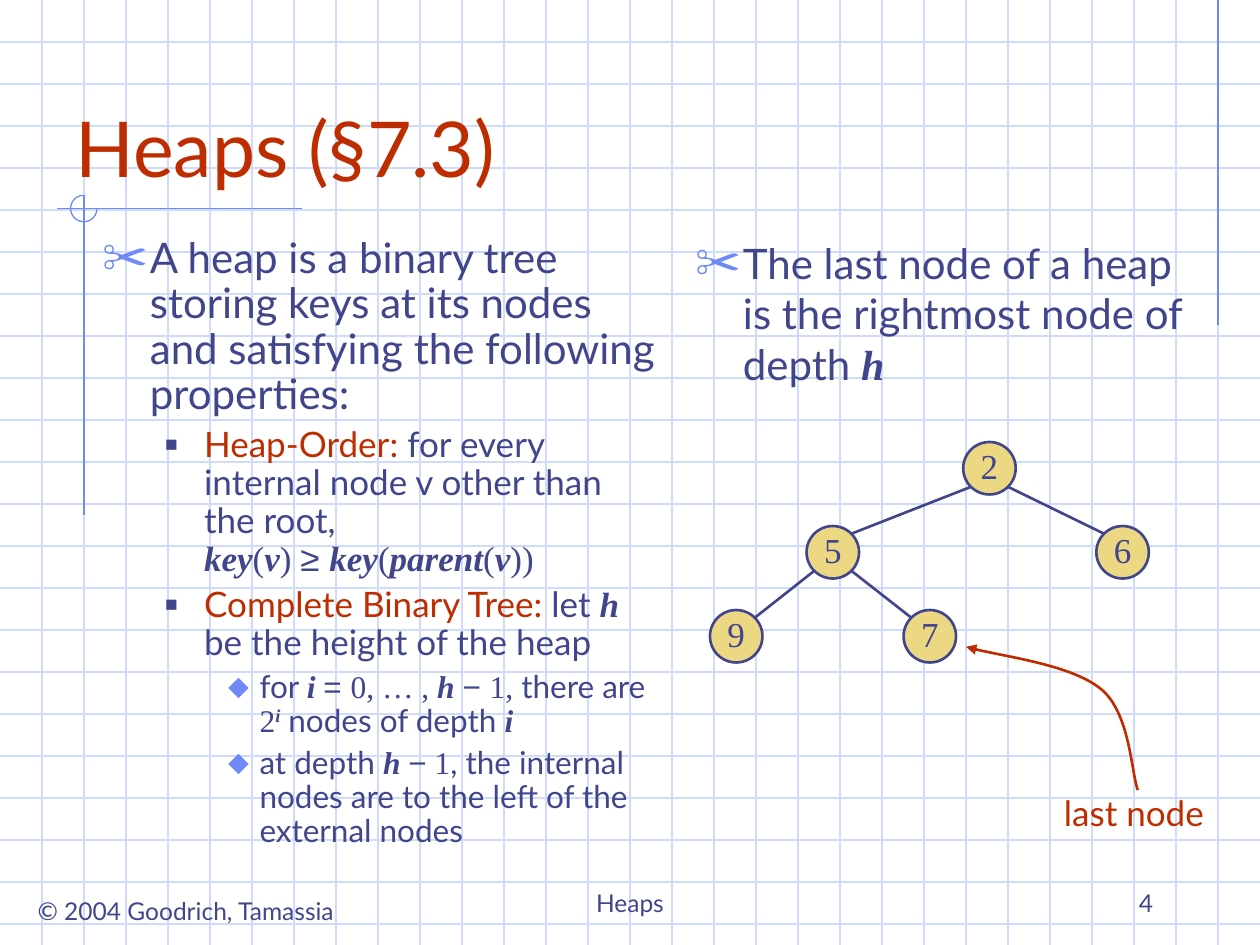
from copy import deepcopy
from dataclasses import dataclass
from math import sqrt

from lxml.etree import SubElement
from pptx import Presentation
from pptx.dml.color import RGBColor
from pptx.enum.shapes import MSO_CONNECTOR, MSO_SHAPE
from pptx.enum.text import MSO_ANCHOR, MSO_AUTO_SIZE, PP_ALIGN
from pptx.oxml.ns import qn
from pptx.util import Inches, Pt

# The background's squares are the unit of length: three to the inch
COLUMNS, ROWS = 30, 22.5
GRID, BLUE, INK, RED, GOLD = "CFDBFD", "6F89F7", "40458C", "BE2D00", "ECD882"
NODE_SIZE = 1.25

# Run formats
PLAIN = {}
TERM = {"color": RED}
VARIABLE = {"font": "Times New Roman", "bold": True, "italic": True}
SERIF = {"font": "Times New Roman"}
SYMBOL = {"font": "Arial"}


@dataclass
class Box:
    column: float
    row: float
    columns: float
    rows: float

    def lengths(self) -> list:
        return [cells(n) for n in (self.column, self.row, self.columns, self.rows)]


@dataclass
class Level:
    size: int
    margin: float
    hanging: float
    before: float
    bullet: str
    bullet_color: str
    bullet_percent: int


@dataclass
class Node:
    key: str
    column: float
    depth: int
    parent: str = ""

    @property
    def center(self) -> tuple:
        return self.column, 11.15 + 2 * self.depth


LEVELS = [
    Level(24, 0.38, 0.38, 6, "✂", BLUE, 110),
    Level(20, 0.81, 0.31, 5, "■", INK, 60),
    Level(18, 1.25, 0.25, 4.5, "⬥", BLUE, 95),
]

PROPERTIES = [
    (0, [("A heap is a binary tree storing keys at its nodes and satisfying "
          "the following properties:", PLAIN)]),
    (1, [("Heap-Order:", TERM), (" for every internal node v other than the root,\n", PLAIN),
         ("key", VARIABLE), ("(", SERIF), ("v", VARIABLE), (") ", SERIF), ("≥ ", SYMBOL),
         ("key", VARIABLE), ("(", SERIF), ("parent", VARIABLE), ("(", SERIF),
         ("v", VARIABLE), ("))", SERIF)]),
    (1, [("Complete Binary Tree:", TERM), (" let ", PLAIN), ("h", VARIABLE),
         (" be the height of the heap", PLAIN)]),
    (2, [("for ", PLAIN), ("i ", VARIABLE), ("= ", SYMBOL), ("0, … , ", SERIF),
         ("h ", VARIABLE), ("− ", SYMBOL), ("1,", SERIF), (" there are ", PLAIN),
         ("2", SERIF), ("i", VARIABLE | {"superscript": True}),
         (" nodes of depth ", PLAIN), ("i", VARIABLE)]),
    (2, [("at depth ", PLAIN), ("h ", VARIABLE), ("−", SYMBOL), (" 1", SERIF),
         (", the internal nodes are to the left of the external nodes", PLAIN)]),
]
LAST_NODE = [(0, [("The last node of a heap is the rightmost node of depth ", PLAIN),
                  ("h", VARIABLE)])]

TREE = [Node("2", 23.56, 0), Node("6", 26.73, 1, "2"), Node("5", 19.83, 1, "2"),
        Node("7", 22.14, 2, "5"), Node("9", 17.53, 2, "5")]


def cells(count: float) -> int:
    return Inches(count / 3)


def color_of(value: str) -> RGBColor:
    return RGBColor.from_string(value)


def add_run(paragraph, text: str, *, size: float, font="Lato", color=INK,
            bold=False, italic=False, superscript=False) -> None:
    run = paragraph.add_run()
    run.text = text.rstrip("\n")
    run.font.size, run.font.name = Pt(size), font
    run.font.bold, run.font.italic = bold, italic
    run.font.color.rgb = color_of(color)
    properties = run.font._element
    if superscript:
        properties.set("baseline", "30000")
    if text.endswith("\n"):
        paragraph.add_line_break()
        paragraph._p[-1].append(deepcopy(properties))


def set_line(shape, color: str, width: float) -> None:
    shape.line.color.rgb = color_of(color)
    shape.line.width = Pt(width)


def add_line(shapes, start: tuple, end: tuple, color: str, width: float) -> None:
    line = shapes.add_connector(MSO_CONNECTOR.STRAIGHT, *map(cells, start + end))
    set_line(line, color, width)
    SubElement(line._element.spPr, qn("a:effectLst"))


def add_label(slide, box: Box, text: str, *, align=PP_ALIGN.CENTER,
              anchor=MSO_ANCHOR.TOP, wrap=False, **style) -> None:
    frame = slide.shapes.add_textbox(*box.lengths()).text_frame
    frame.word_wrap, frame.vertical_anchor = wrap, anchor
    frame.auto_size = MSO_AUTO_SIZE.NONE if wrap else MSO_AUTO_SIZE.SHAPE_TO_FIT_TEXT
    frame.paragraphs[0].alignment = align
    add_run(frame.paragraphs[0], text, **style)


def place(slide, placeholder, box: Box, anchor):
    """Move a placeholder to its box and in front of what is drawn so far."""
    placeholder.left, placeholder.top, placeholder.width, placeholder.height = box.lengths()
    slide.shapes._spTree.append(placeholder._element)
    frame = placeholder.text_frame
    frame.auto_size, frame.vertical_anchor = MSO_AUTO_SIZE.NONE, anchor
    return frame


def fill_list(frame, items: list, spacing: float) -> None:
    for index, (depth, runs) in enumerate(items):
        level = LEVELS[depth]
        paragraph = frame.add_paragraph() if index else frame.paragraphs[0]
        paragraph.level, paragraph.alignment = depth, PP_ALIGN.LEFT
        paragraph.line_spacing, paragraph.space_before = spacing, Pt(level.before)
        properties = paragraph._p.get_or_add_pPr()
        properties.set("marL", str(Inches(level.margin)))
        properties.set("indent", str(-Inches(level.hanging)))
        bullet_color = SubElement(properties, qn("a:buClr"))
        SubElement(bullet_color, qn("a:srgbClr"), val=level.bullet_color)
        SubElement(properties, qn("a:buSzPct"), val=str(level.bullet_percent * 1000))
        SubElement(properties, qn("a:buChar"), char=level.bullet)
        for text, style in runs:
            add_run(paragraph, text, size=level.size, **style)


def add_background(slide) -> None:
    shapes = slide.shapes.add_group_shape().shapes
    for row in range(1, 23):
        add_line(shapes, (0, row), (COLUMNS, row), GRID, 0.75)
    for column in range(1, COLUMNS):
        add_line(shapes, (column, 0), (column, ROWS), GRID, 0.75)
    # Title rule, margin lines and the three-quarter ring where they cross
    add_line(shapes, (29, 0), (29, 7.75), BLUE, 0.75)
    add_line(shapes, (7.2, 4.97), (1.35, 4.97), BLUE, 0.75)
    add_line(shapes, (2, 4.65), (2, 12.27), BLUE, 0.75)
    ring = shapes.add_shape(MSO_SHAPE.ARC, *Box(1.68, 4.65, 0.63, 0.63).lengths())
    ring.adjustments[0], ring.adjustments[1] = 0, 270 * 0.6
    ring.fill.background()
    ring.shadow.inherit = False
    set_line(ring, BLUE, 0.75)


def add_node(slide, node: Node) -> None:
    x, y = node.center
    box = Box(x - NODE_SIZE / 2, y - NODE_SIZE / 2, NODE_SIZE, NODE_SIZE)
    circle = slide.shapes.add_shape(MSO_SHAPE.OVAL, *box.lengths())
    circle.shadow.inherit = False
    circle.fill.solid()
    circle.fill.fore_color.rgb = color_of(GOLD)
    set_line(circle, INK, 1.5)
    frame = circle.text_frame
    frame.margin_left = frame.margin_right = frame.margin_top = 0
    frame.margin_bottom = Inches(0.05)
    frame.word_wrap, frame.vertical_anchor = False, MSO_ANCHOR.MIDDLE
    frame.paragraphs[0].alignment = PP_ALIGN.CENTER
    add_run(frame.paragraphs[0], node.key, size=20, **SERIF)


def add_edge(slide, child: Node, parent: Node) -> None:
    """Join the two circles where their diagonals meet the rim."""
    reach = NODE_SIZE / 2 / sqrt(2)
    (x, y), (parent_x, parent_y) = child.center, parent.center
    side = reach if parent_x > x else -reach
    add_line(slide.shapes, (x + side, y - reach),
             (parent_x - side, parent_y + reach), INK, 1.5)


def add_curved_arrow(slide, points: list) -> None:
    """Draw Bézier curves through a start and triples of control points."""
    start, *rest = [(cells(x), cells(y)) for x, y in points]
    builder = slide.shapes.build_freeform(*start)
    builder.add_line_segments(rest, close=False)
    arrow = builder.convert_to_shape()
    segments = list(arrow._element.iter(qn("a:lnTo")))
    outline = segments[0].getparent()
    for first in range(0, len(segments), 3):
        curve = SubElement(outline, qn("a:cubicBezTo"))
        for segment in segments[first:first + 3]:
            curve.append(segment[0])
            outline.remove(segment)
    arrow.fill.background()
    arrow.shadow.inherit = False
    set_line(arrow, RED, 1.5)
    SubElement(arrow.line._get_or_add_ln(), qn("a:tailEnd"), type="triangle")


def main() -> None:
    presentation = Presentation()
    presentation.slide_width, presentation.slide_height = cells(COLUMNS), cells(ROWS)
    slide = presentation.slides.add_slide(presentation.slide_layouts[3])
    title, left_body, right_body = slide.placeholders
    add_background(slide)

    # Footer
    add_label(slide, Box(0.36, 21.18, 8.13, 1.02), "© 2004 Goodrich, Tamassia", size=14)
    footer = {"anchor": MSO_ANCHOR.BOTTOM, "wrap": True, "size": 14}
    add_label(slide, Box(10.25, 20.5, 9.5, 1.5), "Heaps", **footer)
    add_label(slide, Box(21.5, 20.5, 6.25, 1.5), "4", align=PP_ALIGN.RIGHT, **footer)

    # Title and lists
    heading = place(slide, title, Box(1.5, 1, 25.5, 3.75), MSO_ANCHOR.BOTTOM).paragraphs[0]
    heading.alignment = PP_ALIGN.LEFT
    add_run(heading, "Heaps (§7.3)", size=44, color=RED)
    fill_list(place(slide, left_body, Box(2.13, 5.5, 13.89, 15), MSO_ANCHOR.TOP),
              PROPERTIES, 0.9)
    fill_list(place(slide, right_body, Box(16.25, 5.5, 12.5, 4.75), MSO_ANCHOR.TOP),
              LAST_NODE, 1.0)

    # Heap
    nodes = {node.key: node for node in TREE}
    for node in TREE:
        add_node(slide, node)
        if node.parent:
            add_edge(slide, node, nodes[node.parent])

    # Pointer to the last node
    add_curved_arrow(slide, [(27.09, 18.81), (26.94, 18.42), (26.91, 16.98), (26.22, 16.41),
                             (25.53, 15.84), (23.67, 15.6), (23, 15.4)])
    add_label(slide, Box(24.9, 18.7, 4.2, 1.3), "last node", size=20, color=RED)
    presentation.save("out.pptx")


if __name__ == "__main__":
    main()
